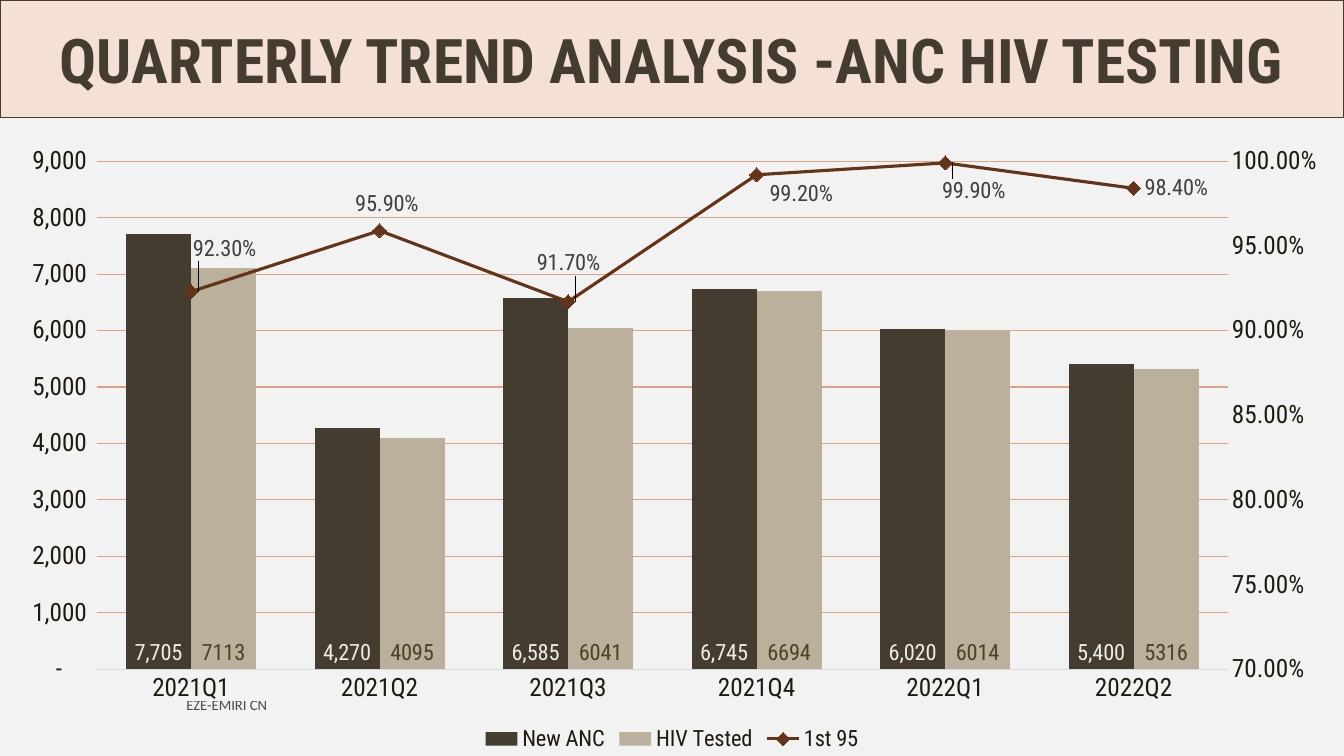
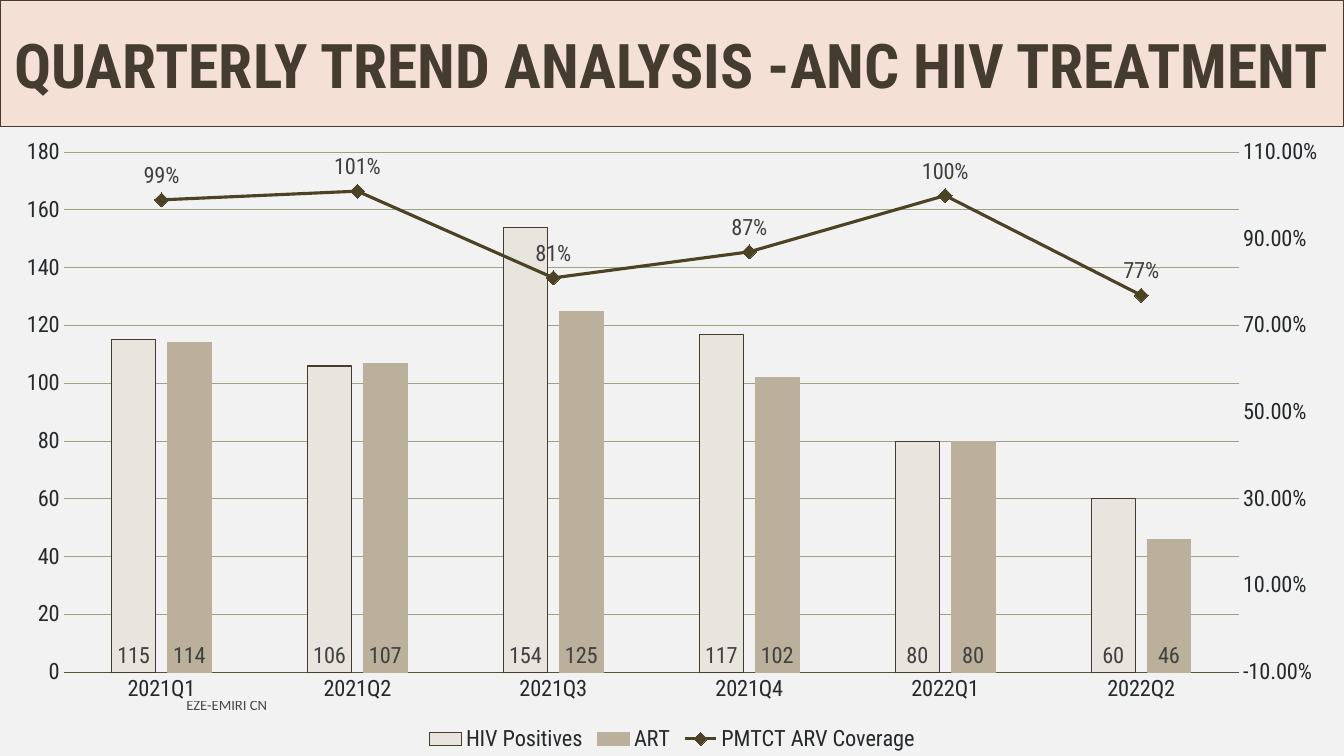
from copy import deepcopy
from dataclasses import dataclass
from typing import Optional

from lxml.etree import SubElement
from pptx import Presentation
from pptx.chart.axis import ValueAxis
from pptx.chart.chart import Chart
from pptx.chart.data import CategoryChartData
from pptx.dml.color import RGBColor
from pptx.enum.chart import (XL_CHART_TYPE, XL_LABEL_POSITION, XL_LEGEND_POSITION,
                             XL_MARKER_STYLE, XL_TICK_MARK)
from pptx.enum.text import MSO_ANCHOR, MSO_AUTO_SIZE, PP_ALIGN
from pptx.oxml import parse_xml
from pptx.oxml.ns import nsdecls, qn
from pptx.slide import Slide
from pptx.text.text import Font, TextFrame
from pptx.util import Inches, Pt


@dataclass(frozen=True)
class Theme:
    """Colours, fonts and type sizes of the deck."""
    background: str = "F2F2F2"
    band: str = "F5E0D5"
    dark: str = "443C2E"
    tan: str = "BAB09B"
    cream: str = "E8E5DE"
    olive: str = "4B4323"
    rust: str = "643418"
    pale: str = "EBEDE6"
    label: str = "404040"
    black: str = "000000"
    heading_font: str = "Roboto Condensed"
    body_font: str = "Calibri"
    title_size: float = 44
    label_size: float = 16
    footer_size: float = 10.5
    hairline: float = 0.75
    trend_line: float = 2.25


THEME = Theme()
WIDTH, HEIGHT = 13.33, 7.5
QUARTERS = ("2021Q1", "2021Q2", "2021Q3", "2021Q4", "2022Q1", "2022Q2")
COUNT = '_(* #,##0_);_(* \\(#,##0\\);_(* "-"??_);_('
PERCENT = "0.00%"


@dataclass(frozen=True)
class Box:
    """A rectangle in inches."""
    left: float
    top: float
    width: float
    height: float

    def lengths(self) -> tuple:
        """Give the four sides as lengths."""
        return tuple(Inches(n) for n in (self.left, self.top, self.width, self.height))


@dataclass(frozen=True)
class Measure:
    """One data series and its look."""
    name: str
    values: tuple
    color: str
    label_color: str = THEME.label
    label_format: str = "General"
    outline: Optional[str] = None
    label_position: XL_LABEL_POSITION = XL_LABEL_POSITION.INSIDE_BASE
    label_shifts: tuple = ()


@dataclass(frozen=True)
class Scale:
    """The range and number format of a value axis."""
    low: float
    high: float
    step: float
    number_format: str


@dataclass(frozen=True)
class Trend:
    """The content of one trend page."""
    title: str
    band_height: float
    chart_top: float
    plot: Box
    text_color: str
    axis_size: float
    axis_line: str
    grid: str
    gap: int
    overlap: int
    left_scale: Scale
    right_scale: Scale
    columns: tuple
    rate: Measure


TRENDS = (
    Trend("QUARTERLY TREND ANALYSIS -ANC HIV TESTING", 1.17, 1.33,
          Box(0.96, 1.6, 11.22, 5.04), "1E1B0E", 18, "D9D9D9", "E0A382", 90, 0,
          Scale(0, 9000, 1000, COUNT), Scale(0.7, 1, 0.05, PERCENT),
          (Measure("New ANC", (7705, 4270, 6585, 6745, 6020, 5400), THEME.dark,
                   THEME.pale, COUNT),
           Measure("HIV Tested", (7113, 4095, 6041, 6694, 6014, 5316), THEME.tan,
                   THEME.olive)),
          Measure("1st 95", (0.923, 0.959, 0.917, 0.992, 0.999, 0.984), THEME.rust,
                  label_format=PERCENT, label_position=XL_LABEL_POSITION.RIGHT,
                  label_shifts=((-0.09, -0.42), (-0.35, -0.26), (-0.42, -0.38),
                                (0.02, 0.19), (-0.14, 0.28)))),
    Trend("QUARTERLY TREND ANALYSIS -ANC HIV TREATMENT", 1.26, 1.26,
          Box(0.63, 1.51, 11.66, 5.16), "25292B", 16, "50543F", "9CA383", 219, -27,
          Scale(0, 180, 20, "General"), Scale(-0.1, 1.1, 0.2, PERCENT),
          (Measure("HIV Positives", (115, 106, 154, 117, 80, 60), THEME.cream,
                   outline=THEME.dark),
           Measure("ART", (114, 107, 125, 102, 80, 46), THEME.tan, outline=THEME.tan)),
          Measure("PMTCT ARV Coverage", (0.99, 1.01, 0.81, 0.87, 1, 0.77), THEME.olive,
                  label_format="0%", label_position=XL_LABEL_POSITION.ABOVE)),
)


def rgb(color: str) -> RGBColor:
    """Turn a hex string into a colour."""
    return RGBColor.from_string(color)


def style_font(font: Font, size: float, color: str,
               name: str = THEME.heading_font, bold: bool = False) -> None:
    """Set size, colour, family and weight of a font."""
    font.size, font.name, font.bold = Pt(size), name, bold
    font.color.rgb = rgb(color)


def write_text(frame: TextFrame, text: str, *, size: float, color: str, name: str,
               bold: bool = False, align: PP_ALIGN = PP_ALIGN.LEFT,
               margin: float = 0.1, opacity: int = 100) -> None:
    """Fill a text frame with one formatted paragraph."""
    frame.word_wrap = True
    frame.auto_size = MSO_AUTO_SIZE.NONE
    frame.vertical_anchor = MSO_ANCHOR.MIDDLE
    frame.margin_left = frame.margin_right = Inches(margin)
    para = frame.paragraphs[0]
    para.alignment = align
    span = para.add_run()
    span.text = text
    style_font(span.font, size, color, name, bold)
    if opacity < 100:
        for shade in frame._txBody.iter(qn("a:srgbClr")):
            SubElement(shade, qn("a:alpha")).set("val", str(opacity * 1000))


def manual_layout(x: float, y: float, size: str = "", modes: str = ""):
    """Build a chart layout element."""
    return parse_xml(f'<c:layout {nsdecls("c")}><c:manualLayout>{modes}'
                     f'<c:x val="{x:.4f}"/><c:y val="{y:.4f}"/>{size}'
                     '</c:manualLayout></c:layout>')


def place_plot(chart: Chart, plot: Box, frame: Box) -> None:
    """Fix the inner plot area within the chart frame."""
    area = chart.element.xpath("c:chart/c:plotArea")[0]
    for layout in area.xpath("c:layout"):
        area.remove(layout)
    modes = ('<c:layoutTarget val="inner"/><c:xMode val="edge"/>'
             '<c:yMode val="edge"/>')
    size = (f'<c:w val="{plot.width / frame.width:.4f}"/>'
            f'<c:h val="{plot.height / frame.height:.4f}"/>')
    area.insert(0, manual_layout((plot.left - frame.left) / frame.width,
                                 (plot.top - frame.top) / frame.height, size, modes))


def add_right_axis(chart: Chart) -> ValueAxis:
    """Move the last series to a line plot on a second axis."""
    area = chart.element.xpath("c:chart/c:plotArea")[0]
    columns = area.xpath("c:barChart")[0]
    rate = columns.xpath("c:ser")[-1]
    for flag in rate.xpath("c:invertIfNegative"):
        rate.remove(flag)
    line = parse_xml(f'<c:lineChart {nsdecls("c")}><c:grouping val="standard"/>'
                     '<c:varyColors val="0"/><c:marker val="1"/>'
                     '<c:axId val="5001"/><c:axId val="5002"/></c:lineChart>')
    line.insert(2, rate)
    columns.addnext(line)
    axis = None
    for kind, own, other, hidden, side, crosses in (
            ("catAx", 5001, 5002, 1, "b", "autoZero"),
            ("valAx", 5002, 5001, 0, "r", "max")):
        axis = parse_xml(
            f'<c:{kind} {nsdecls("c")}><c:axId val="{own}"/><c:scaling>'
            f'<c:orientation val="minMax"/></c:scaling><c:delete val="{hidden}"/>'
            f'<c:axPos val="{side}"/><c:tickLblPos val="nextTo"/>'
            f'<c:crossAx val="{other}"/><c:crosses val="{crosses}"/></c:{kind}>')
        area.xpath("c:valAx|c:catAx")[-1].addnext(axis)
    return ValueAxis(axis)


def style_axis(axis, trend: Trend, scale: Optional[Scale] = None) -> None:
    """Format an axis, with its scale if it carries values."""
    axis.major_tick_mark = axis.minor_tick_mark = XL_TICK_MARK.NONE
    style_font(axis.tick_labels.font, trend.axis_size, trend.text_color)
    if scale is None:
        axis.format.line.color.rgb = rgb(trend.axis_line)
        axis.format.line.width = Pt(THEME.hairline)
        return
    axis.format.line.fill.background()
    axis.minimum_scale, axis.maximum_scale = scale.low, scale.high
    axis.major_unit = scale.step
    axis.tick_labels.number_format = scale.number_format
    axis.tick_labels.number_format_is_linked = False


def style_labels(series, measure: Measure) -> None:
    """Show the values of a series as data labels."""
    labels = series.data_labels
    labels.show_value = True
    labels.number_format = measure.label_format
    labels.number_format_is_linked = False
    labels.position = measure.label_position
    style_font(labels.font, THEME.label_size, measure.label_color)


def shift_labels(chart: Chart, series, measure: Measure, frame: Box) -> None:
    """Move single rate labels away from their default places."""
    for index, (right, down) in enumerate(measure.label_shifts):
        label = series.points[index].data_label
        label.position = measure.label_position
        style_font(label.font, THEME.label_size, measure.label_color)
        group = chart.element.xpath("c:chart/c:plotArea/c:lineChart/c:ser/c:dLbls")[0]
        item = group.xpath("c:dLbl")[index]
        item.insert(1, manual_layout(right / frame.width, down / frame.height))
        item.insert(2, deepcopy(group.xpath("c:numFmt")[0]))


def add_trend_chart(page: Slide, trend: Trend) -> None:
    """Draw the columns and the rate line."""
    data = CategoryChartData()
    data.categories = QUARTERS
    for measure in (*trend.columns, trend.rate):
        data.add_series(measure.name, measure.values, measure.label_format)
    frame = Box(0, trend.chart_top, WIDTH, HEIGHT - trend.chart_top)
    chart = page.shapes.add_chart(XL_CHART_TYPE.COLUMN_CLUSTERED,
                                  *frame.lengths(), data).chart
    chart.has_title = False
    style_font(chart.font, 10, THEME.black, THEME.body_font)
    chart.has_legend = True
    chart.legend.position = XL_LEGEND_POSITION.BOTTOM
    chart.legend.include_in_layout = False
    style_font(chart.legend.font, THEME.label_size, trend.text_color)
    style_axis(chart.category_axis, trend)
    style_axis(chart.value_axis, trend, trend.left_scale)
    chart.value_axis.has_major_gridlines = True
    grid = chart.value_axis.major_gridlines.format.line
    grid.color.rgb, grid.width = rgb(trend.grid), Pt(THEME.hairline)
    style_axis(add_right_axis(chart), trend, trend.right_scale)
    place_plot(chart, trend.plot, frame)

    columns, lines = chart.plots
    columns.vary_by_categories = False
    columns.gap_width, columns.overlap = trend.gap, trend.overlap
    for series, measure in zip(columns.series, trend.columns):
        series.format.fill.solid()
        series.format.fill.fore_color.rgb = rgb(measure.color)
        if measure.outline:
            series.format.line.color.rgb = rgb(measure.outline)
            series.format.line.width = Pt(THEME.hairline)
        style_labels(series, measure)

    rate = lines.series[0]
    rate.smooth = False
    rate.format.line.color.rgb = rgb(trend.rate.color)
    rate.format.line.width = Pt(THEME.trend_line)
    rate.marker.style, rate.marker.size = XL_MARKER_STYLE.DIAMOND, 10
    rate.marker.format.fill.solid()
    rate.marker.format.fill.fore_color.rgb = rgb(trend.rate.color)
    rate.marker.format.line.color.rgb = rgb(trend.rate.color)
    style_labels(rate, trend.rate)
    shift_labels(chart, rate, trend.rate, frame)


def add_page(deck, trend: Trend) -> None:
    """Add one page with title band, chart and footer."""
    page = deck.slides.add_slide(deck.slide_layouts[5])
    band = page.shapes.title
    band.left, band.top, band.width, band.height = Box(
        0, 0, WIDTH, trend.band_height).lengths()
    band.fill.solid()
    band.fill.fore_color.rgb = rgb(THEME.band)
    band.line.color.rgb, band.line.width = rgb(THEME.dark), Pt(THEME.hairline)
    write_text(band.text_frame, trend.title, size=THEME.title_size, color=THEME.dark,
               name=THEME.heading_font, bold=True, align=PP_ALIGN.CENTER, margin=0)
    add_trend_chart(page, trend)
    footer = page.shapes.add_textbox(*Box(1.75, 6.82, 6.45, 0.35).lengths())
    write_text(footer.text_frame, "EZE-EMIRI CN", size=THEME.footer_size,
               color=THEME.black, name=THEME.body_font, opacity=70)


def main() -> None:
    """Build and save the deck."""
    deck = Presentation()
    deck.slide_width, deck.slide_height = Inches(WIDTH), Inches(HEIGHT)
    backdrop = deck.slide_master.background.fill
    backdrop.solid()
    backdrop.fore_color.rgb = rgb(THEME.background)
    for trend in TRENDS:
        add_page(deck, trend)
    deck.save("out.pptx")


if __name__ == "__main__":
    main()
